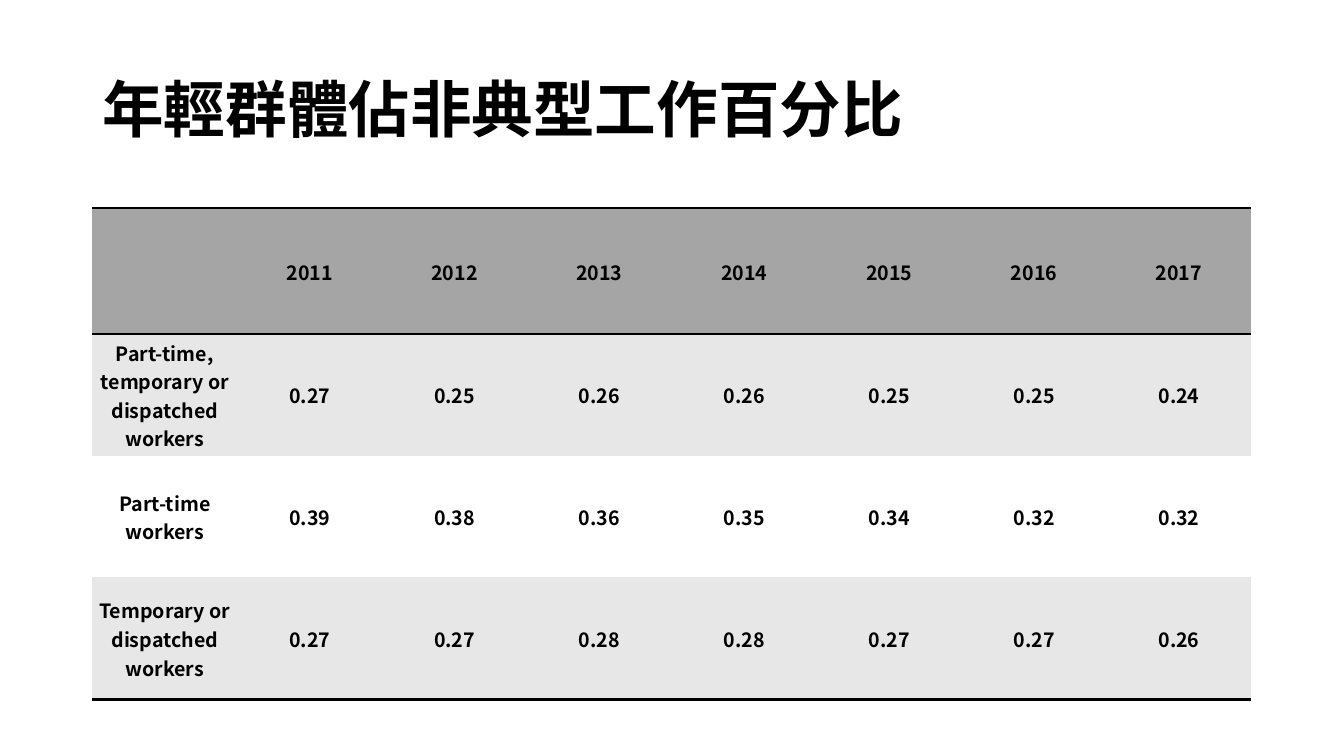
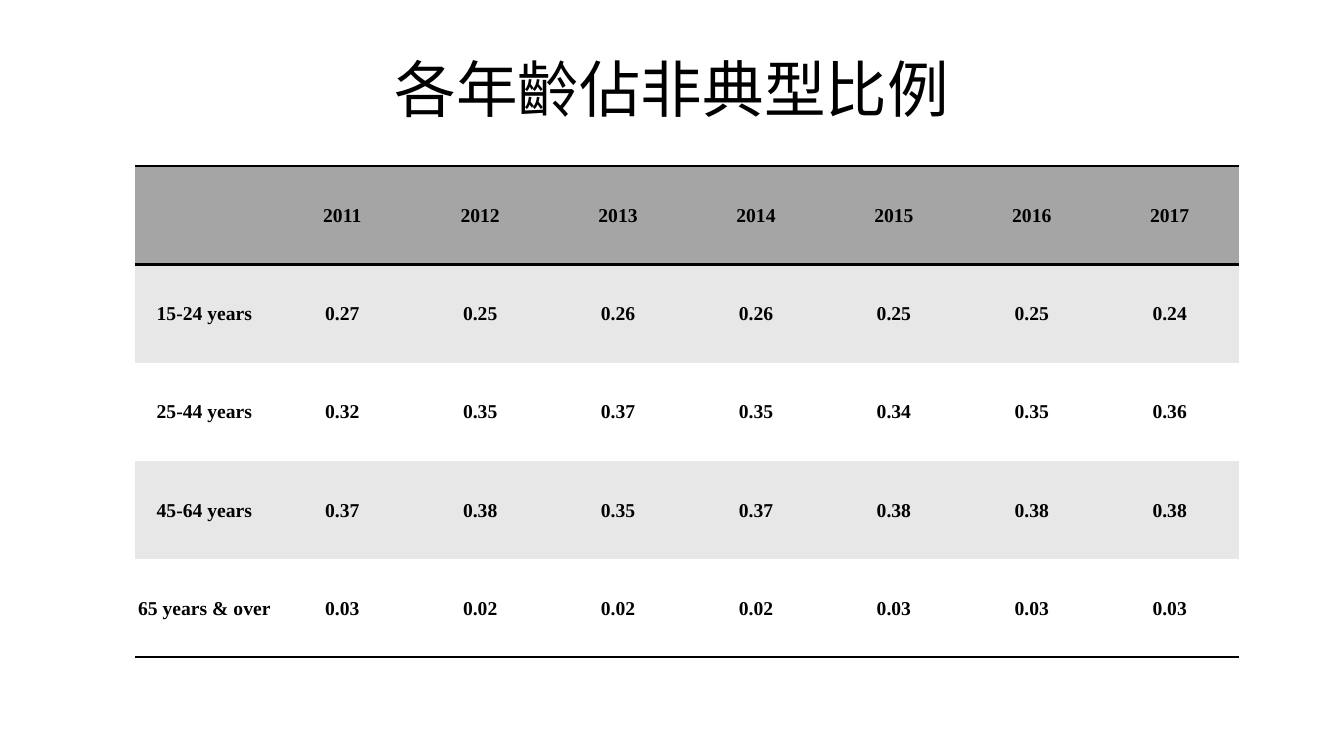
from lxml import etree
from pptx import Presentation
from pptx import util as u
from pptx.dml.color import RGBColor
from pptx.enum import text
from pptx.oxml import ns

PX = u.Inches(1) // 96
BLACK, HEADER_FILL, BAND_FILL, WHITE = "000000", "A5A5A5", "E7E7E7", "FFFFFF"
CJK_FONT = "Noto Sans CJK TC"
NO_STYLE_NO_GRID = "{2D5ABB26-0587-4C30-8999-92F81FD0307C}"
YEARS = ["", *map(str, range(2011, 2018))]
TABLE_HEIGHT = 468

SLIDES = [
    {
        "title": "年輕群體佔非典型工作百分比",
        "title_top": 38, "align": text.PP_ALIGN.LEFT, "bold": True,
        "left": 88, "top": 198, "width": 1104, "header_height": 120,
        "font": CJK_FONT,
        "rows": [
            ("Part-time, temporary or dispatched workers",
             [0.27, 0.25, 0.26, 0.26, 0.25, 0.25, 0.24]),
            ("Part-time workers", [0.39, 0.38, 0.36, 0.35, 0.34, 0.32, 0.32]),
            ("Temporary or dispatched workers",
             [0.27, 0.27, 0.28, 0.28, 0.27, 0.27, 0.26]),
        ],
    },
    {
        "title": "各年齡佔非典型比例",
        "title_top": 19, "align": text.PP_ALIGN.CENTER, "bold": False,
        "left": 129, "top": 158, "width": 1051, "header_height": 94,
        "font": "Times New Roman",
        "rows": [
            ("15-24 years", [0.27, 0.25, 0.26, 0.26, 0.25, 0.25, 0.24]),
            ("25-44 years", [0.32, 0.35, 0.37, 0.35, 0.34, 0.35, 0.36]),
            ("45-64 years", [0.37, 0.38, 0.35, 0.37, 0.38, 0.38, 0.38]),
            ("65 years & over", [0.03, 0.02, 0.02, 0.02, 0.03, 0.03, 0.03]),
        ],
    },
]


def write(paragraph, words, font, size, bold, align):
    paragraph.alignment = align
    run = paragraph.add_run()
    run.text = words
    for name, value in {"name": font, "size": u.Pt(size), "bold": bold}.items():
        setattr(run.font, name, value)
    run.font.color.rgb = RGBColor.from_string(BLACK)
    east_asian = etree.SubElement(run.font._element, ns.qn("a:ea"))
    east_asian.set("typeface", CJK_FONT)


def add_border(cell, side):
    """Rule one side of a cell: lnT is the top, lnB the bottom."""
    line = etree.SubElement(cell._tc.get_or_add_tcPr(), ns.qn(f"a:{side}"), w=str(u.Pt(2)))
    fill = etree.SubElement(line, ns.qn("a:solidFill"))
    etree.SubElement(fill, ns.qn("a:srgbClr"), val=BLACK)


presentation = Presentation()
presentation.slide_width = 1280 * PX
presentation.slide_height = 720 * PX

for content in SLIDES:
    slide = presentation.slides.add_slide(presentation.slide_layouts[6])

    title = slide.shapes.add_textbox(88 * PX, content["title_top"] * PX, 1104 * PX, 139 * PX)
    frame = title.text_frame
    frame.word_wrap = True
    frame.vertical_anchor = text.MSO_ANCHOR.MIDDLE
    frame.paragraphs[0].line_spacing = 0.9
    write(frame.paragraphs[0], content["title"], "Calibri", 44,
          content["bold"], content["align"])

    rows = [YEARS] + [[label, *(f"{value:.2f}" for value in values)]
                      for label, values in content["rows"]]
    last = len(rows) - 1
    table = slide.shapes.add_table(
        len(rows), len(YEARS), content["left"] * PX, content["top"] * PX,
        content["width"] * PX, TABLE_HEIGHT * PX).table
    table.first_row = table.horz_banding = False
    table._tbl.tblPr.find(ns.qn("a:tableStyleId")).text = NO_STYLE_NO_GRID

    header_height = content["header_height"]
    for number, row in enumerate(rows):
        body_height = (TABLE_HEIGHT - header_height) * PX // last
        table.rows[number].height = body_height if number else header_height * PX
        fill = BAND_FILL if number % 2 else WHITE
        for column, words in enumerate(row):
            cell = table.cell(number, column)
            if number == 0:
                add_border(cell, "lnT")
            if number in (0, last):
                add_border(cell, "lnB")
            cell.fill.solid()
            cell.fill.fore_color.rgb = RGBColor.from_string(fill if number else HEADER_FILL)
            cell.vertical_anchor = text.MSO_ANCHOR.MIDDLE
            for side, margin in {"left": 1, "right": 1, "top": 1, "bottom": 0}.items():
                setattr(cell, f"margin_{side}", margin * PX)
            if words:
                write(cell.text_frame.paragraphs[0], words, content["font"], 14,
                      True, text.PP_ALIGN.CENTER)

presentation.save("out.pptx")
